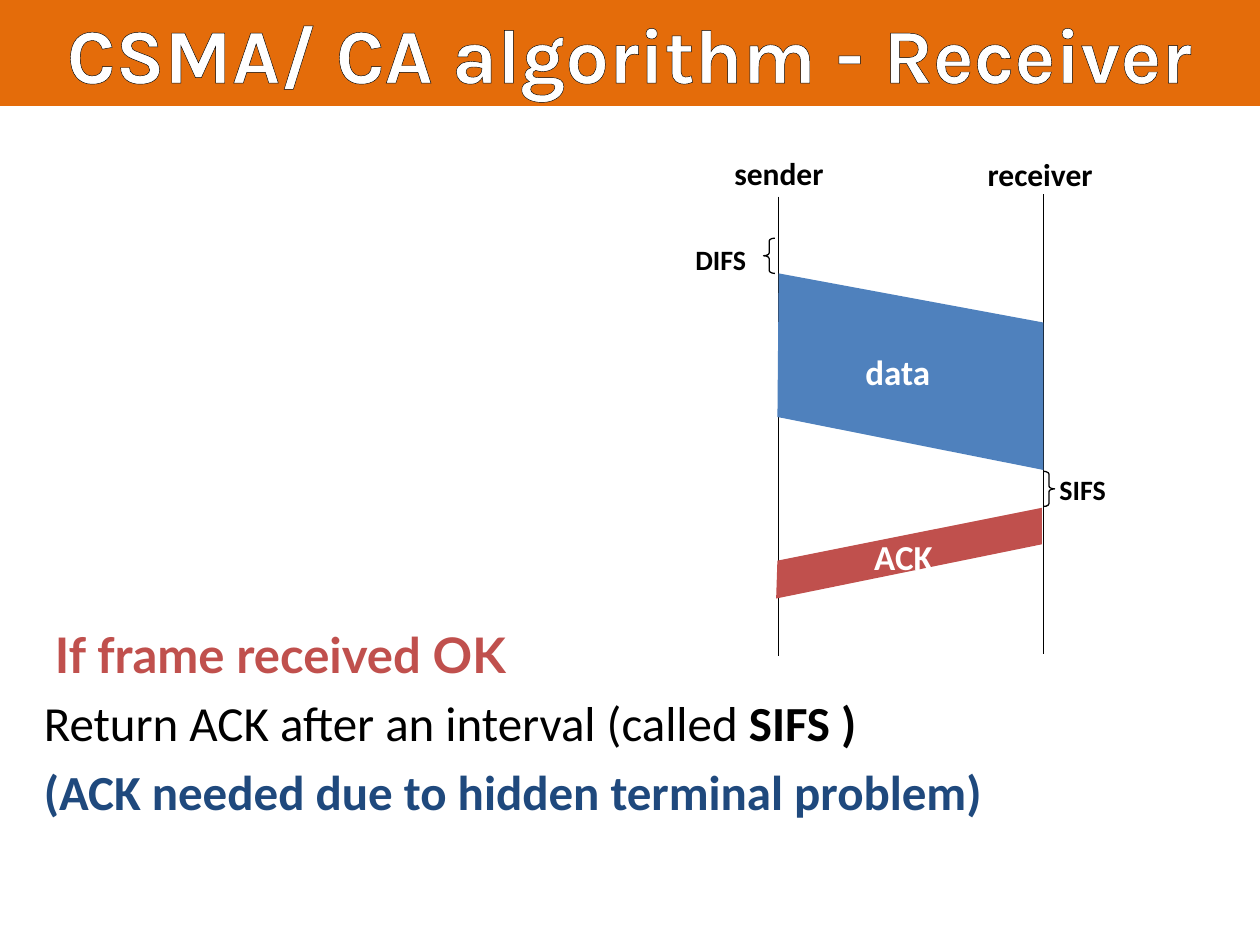
from lxml.etree import SubElement
from pptx import Presentation
from pptx.dml.color import RGBColor
from pptx.enum.shapes import MSO_CONNECTOR, MSO_SHAPE
from pptx.enum.text import MSO_ANCHOR, PP_ALIGN
from pptx.oxml import parse_xml
from pptx.oxml.ns import qn
from pptx.util import Inches, Pt

THEME = {
    "black": "000000", "white": "FFFFFF", "orange": "E46C0A",
    "blue": "4F81BD", "red": "C0504D", "navy": "1F497D",
    "title": 44, "body": 28, "block": 20, "station": 18, "gap": 16,
    "line": 0.75, "font": "Calibri", "title_font": "Karla", "accent_font": "Lato",
}

# Content
TITLE = "CSMA/ CA algorithm - Receiver"
# Paragraphs of (text, bold, colour, font)
BODY = [
    [(" ", False, "black", "font"), ("If frame received OK", True, "red", "accent_font")],
    [("Return ACK after an interval (called ", False, "black", "font"),
      ("SIFS )", True, "black", "font")],
    [("(ACK needed due to hidden terminal problem)", True, "navy", "font")],
]
# Timelines: x, top, bottom
TIMELINES = [(6.18, 1.56, 5.21), (8.28, 1.54, 5.19)]
# Frames on the wire: colour, corners
FRAMES = [
    ("blue", [(6.18, 2.17), (8.28, 2.56), (8.28, 3.73), (6.17, 3.31)]),
    ("red", [(6.16, 4.75), (8.27, 4.32), (8.27, 4.03), (6.17, 4.45)]),
]
# Waiting times: brace shape, left, top
BRACES = [(MSO_SHAPE.LEFT_BRACE, 6.06, 1.89), (MSO_SHAPE.RIGHT_BRACE, 8.28, 3.74)]
# Labels: text, left, top, width, height, size, colour
LABELS = [
    ("sender", 5.73, 1.17, 0.91, 0.4, "station", "black"),
    ("receiver", 7.74, 1.18, 1.04, 0.4, "station", "black"),
    ("DIFS", 5.42, 1.88, 0.61, 0.37, "gap", "black"),
    ("SIFS", 8.31, 3.7, 0.58, 0.37, "gap", "black"),
    ("data", 6.77, 2.73, 0.72, 0.44, "block", "white"),
    ("ACK", 6.84, 4.2, 0.67, 0.44, "block", "white"),
]


def color(name):
    return RGBColor.from_string(THEME[name])


def set_font(font, size, name, bold, font_key="font"):
    font.size = Pt(THEME[size])
    font.name = THEME[font_key]
    font.bold = bold
    font.color.rgb = color(name)


def fill_plain(shape, name):
    shape.shadow.inherit = False
    shape.fill.solid()
    shape.fill.fore_color.rgb = color(name)
    shape.line.fill.background()


def set_line(shape):
    shape.line.color.rgb = color("black")
    shape.line.width = Pt(THEME["line"])


def outline_text(span):
    namespace = "http://schemas.openxmlformats.org/drawingml/2006/main"
    outline = parse_xml(
        f'<a:ln xmlns:a="{namespace}" w="{Pt(THEME["line"])}"><a:solidFill>'
        f'<a:srgbClr val="{THEME["black"]}"/></a:solidFill></a:ln>')
    span.font._element.insert(0, outline)


deck = Presentation()
deck.slide_width, deck.slide_height = Inches(10), Inches(7.5)
page = deck.slides.add_slide(deck.slide_layouts[6])
shapes = page.shapes

# Body text
box = shapes.add_textbox(Inches(0.25), Inches(4.67), Inches(7.67), Inches(2.25))
box.text_frame.word_wrap = True
for index, spans in enumerate(BODY):
    para = box.text_frame.paragraphs[0] if index == 0 else box.text_frame.add_paragraph()
    if index == 0:
        para.line_spacing = 1.5
    else:
        para.space_before = Pt(0.2 * THEME["body"])
    for text, bold, name, font_key in spans:
        span = para.add_run()
        span.text = text
        set_font(span.font, "body", name, bold, font_key)

# Title band
band = shapes.add_shape(MSO_SHAPE.RECTANGLE, 0, 0, Inches(10), Inches(0.84))
fill_plain(band, "orange")
band.text_frame.word_wrap = True
band.text_frame.vertical_anchor = MSO_ANCHOR.TOP
para = band.text_frame.paragraphs[0]
para.alignment = PP_ALIGN.CENTER
span = para.add_run()
span.text = TITLE
set_font(span.font, "title", "white", True, "title_font")
outline_text(span)

# Timelines of both stations
for x, top, bottom in TIMELINES:
    timeline = shapes.add_connector(
        MSO_CONNECTOR.STRAIGHT, Inches(x), Inches(top), Inches(x), Inches(bottom))
    set_line(timeline)
    SubElement(timeline._element.spPr, qn("a:effectLst"))

# Frames
for name, corners in FRAMES:
    points = [(Inches(x), Inches(y)) for x, y in corners]
    builder = shapes.build_freeform(*points[0])
    builder.add_line_segments(points[1:], close=True)
    fill_plain(builder.convert_to_shape(), name)

# Waiting-time braces
for kind, left, top in BRACES:
    brace = shapes.add_shape(kind, Inches(left), Inches(top), Inches(0.09), Inches(0.28))
    brace.shadow.inherit = False
    brace.adjustments[0] = 0.25
    brace.fill.background()
    set_line(brace)

# Labels
for text, left, top, width, height, size, name in LABELS:
    box = shapes.add_textbox(Inches(left), Inches(top), Inches(width), Inches(height))
    box.text_frame.word_wrap = False
    para = box.text_frame.paragraphs[0]
    para.text = text
    set_font(para.font, size, name, True)

deck.save("out.pptx")
